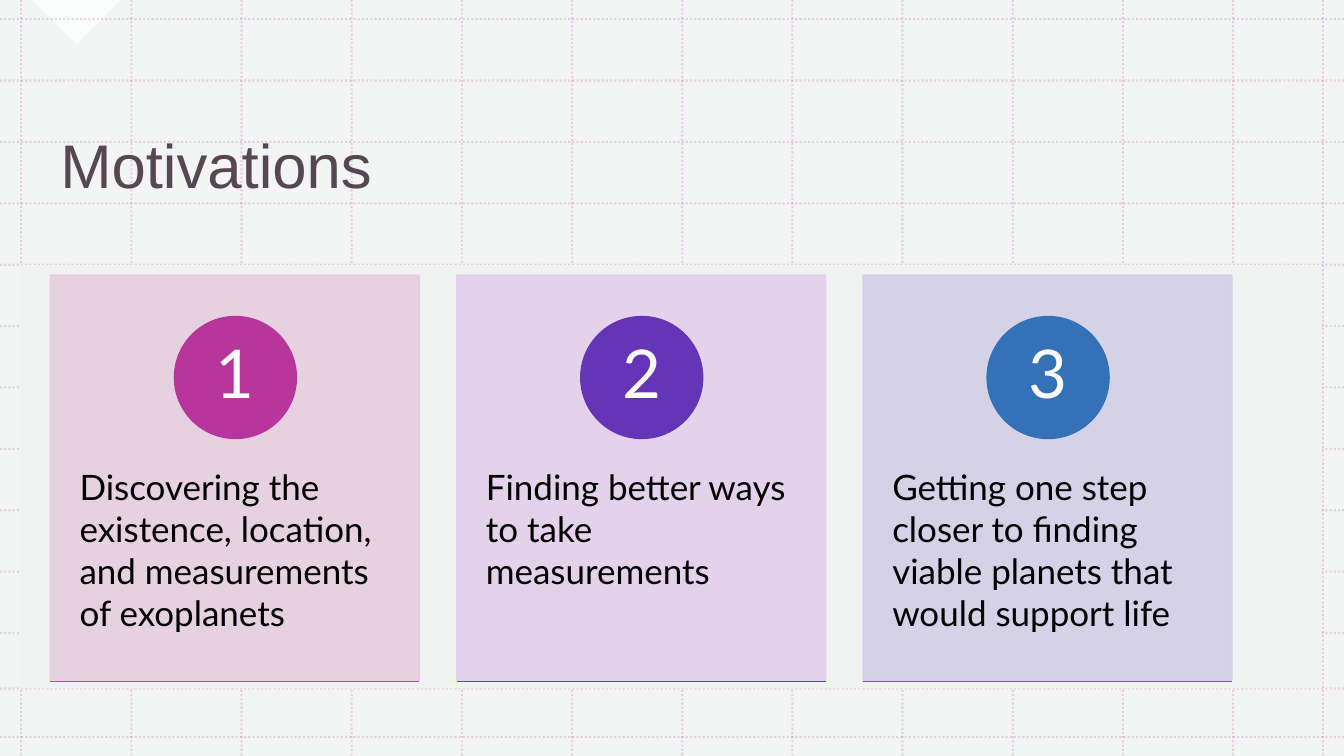
from dataclasses import dataclass
from lxml import etree
from pptx import Presentation
from pptx.dml.color import RGBColor
from pptx.enum.dml import MSO_LINE
from pptx.enum.shapes import MSO_CONNECTOR, MSO_SHAPE
from pptx.enum.text import MSO_ANCHOR, PP_ALIGN
from pptx.oxml.ns import qn
from pptx.util import Inches, Pt

RECT, OVAL, WEDGE = MSO_SHAPE.RECTANGLE, MSO_SHAPE.OVAL, MSO_SHAPE.RIGHT_TRIANGLE
STRAIGHT, DOTS = MSO_CONNECTOR.STRAIGHT, MSO_LINE.ROUND_DOT
TOP, MIDDLE = MSO_ANCHOR.TOP, MSO_ANCHOR.MIDDLE
LEFT, CENTER = PP_ALIGN.LEFT, PP_ALIGN.CENTER
WIDE, HIGH = 13.33, 7.5


@dataclass(frozen=True)
class Theme:
    white: str = "FFFFFF"
    black: str = "000000"
    mist: str = "F0F3F2"
    plum: str = "301B2C"
    pink: str = "B7359D"
    mauve: str = "AD47C9"
    indigo: str = "474DC9"
    violet: str = "6535B7"
    blue: str = "3571B7"
    rose: str = "E6CEDF"
    lilac: str = "E3CFEB"
    haze: str = "D3CEE6"
    head: str = "Arial"
    body: str = "Lato"
    title: int = 44
    number: int = 48
    copy: int = 25


class Deck:
    def __init__(self, theme):
        self.theme = theme
        self.prs = Presentation()
        self.prs.slide_width, self.prs.slide_height = Inches(WIDE), Inches(HIGH)
        self.slide = self.prs.slides.add_slide(self.prs.slide_layouts[6])
        self.paint(self.slide.background.fill, theme.white)

    def paint(self, fill, color, alpha=100):
        """Make a fill solid, with its opacity in percent."""
        fill.solid()
        fill.fore_color.rgb = RGBColor.from_string(color)
        if alpha < 100:
            node = fill._xPr.find(qn("a:solidFill"))[0]
            etree.SubElement(node, qn("a:alpha"), val=str(alpha * 1000))

    def shape(self, kind, box, color, alpha=100, edge=False, turn=0):
        item = self.slide.shapes.add_shape(kind, *map(Inches, box))
        item.shadow.inherit = False
        item.rotation = turn
        self.paint(item.fill, color, alpha)
        if edge:
            item.line.width = Pt(1)
            self.paint(item.line.fill, color, alpha)
        else:
            item.line.fill.background()

    def line(self, ends, color, width, alpha=100, dash=None):
        item = self.slide.shapes.add_connector(STRAIGHT, *map(Inches, ends))
        item.line.width = Pt(width)
        self.paint(item.line.fill, color, alpha)
        if dash:
            item.line.dash_style = dash
        etree.SubElement(item._element.spPr, qn("a:effectLst"))

    def text(self, box, words, font, size, color, alpha=100, inset=(0.1, 0.05),
             anchor=TOP, align=LEFT, space=1.0):
        frame = self.slide.shapes.add_textbox(*map(Inches, box)).text_frame
        frame.word_wrap = True
        frame.vertical_anchor = anchor
        frame.margin_left = frame.margin_right = Inches(inset[0])
        frame.margin_top = frame.margin_bottom = Inches(inset[1])
        para = frame.paragraphs[0]
        para.alignment, para.line_spacing = align, space
        run = para.add_run()
        run.text = words
        run.font.name, run.font.size = font, Pt(size)
        self.paint(run.font.fill, color, alpha)

    def grid(self):
        cols = [0.21 + i * (12.23 - 0.21) / 11 for i in range(12)] + [13.12]
        rows = [0.19 + i * (6.28 - 0.19) / 10 for i in range(11)] + [6.83, 7.31]
        ends = [(x, 0, x, HIGH) for x in cols] + [(0, y, WIDE, y) for y in rows]
        for end in ends:
            self.line(end, self.theme.pink, 1.5, 20, DOTS)

    def card(self, left, number, words, back, disc, rule):
        look, width = self.theme, 3.66
        mid = left + width / 2
        self.shape(RECT, (left, 2.73, width, 4.02), back, 90, edge=True)
        self.text((left, 4.26, width, 2.41), words, look.body, look.copy,
                  look.black, inset=(0.29, 0.36))
        self.shape(OVAL, (mid - 0.6, 3.14, 1.21, 1.21), disc, edge=True)
        self.text((mid - 0.42, 3.31, 0.85, 0.85), str(number), look.body,
                  look.number, look.white, inset=(0.09, 0.01),
                  anchor=MIDDLE, align=CENTER, space=0.9)
        self.line((left, 6.76, left + width, 6.76), rule, 1)


def main():
    look = Theme()
    deck = Deck(look)
    deck.shape(RECT, (0, 0, WIDE, HIGH), look.mist, 80)
    deck.shape(WEDGE, (0.45, -0.31, 0.62, 0.62), look.white, 75, turn=315)
    deck.grid()
    deck.text((0.5, 0.79, 11.75, 1.76), "Motivations", look.head, look.title,
              look.plum, 80, anchor=MIDDLE, space=0.9)
    deck.shape(RECT, (0.2, 2.63, 12.91, 4.2), look.mist)
    cards = [
        ("Discovering the existence, location, and measurements of exoplanets",
         look.rose, look.pink, look.mauve),
        ("Finding better ways to take measurements",
         look.lilac, look.violet, look.indigo),
        ("Getting one step closer to finding viable planets that would support life",
         look.haze, look.blue, look.pink),
    ]
    for i, card in enumerate(cards):
        deck.card(0.5 + i * 4.03, i + 1, *card)
    deck.prs.save("out.pptx")


if __name__ == "__main__":
    main()
